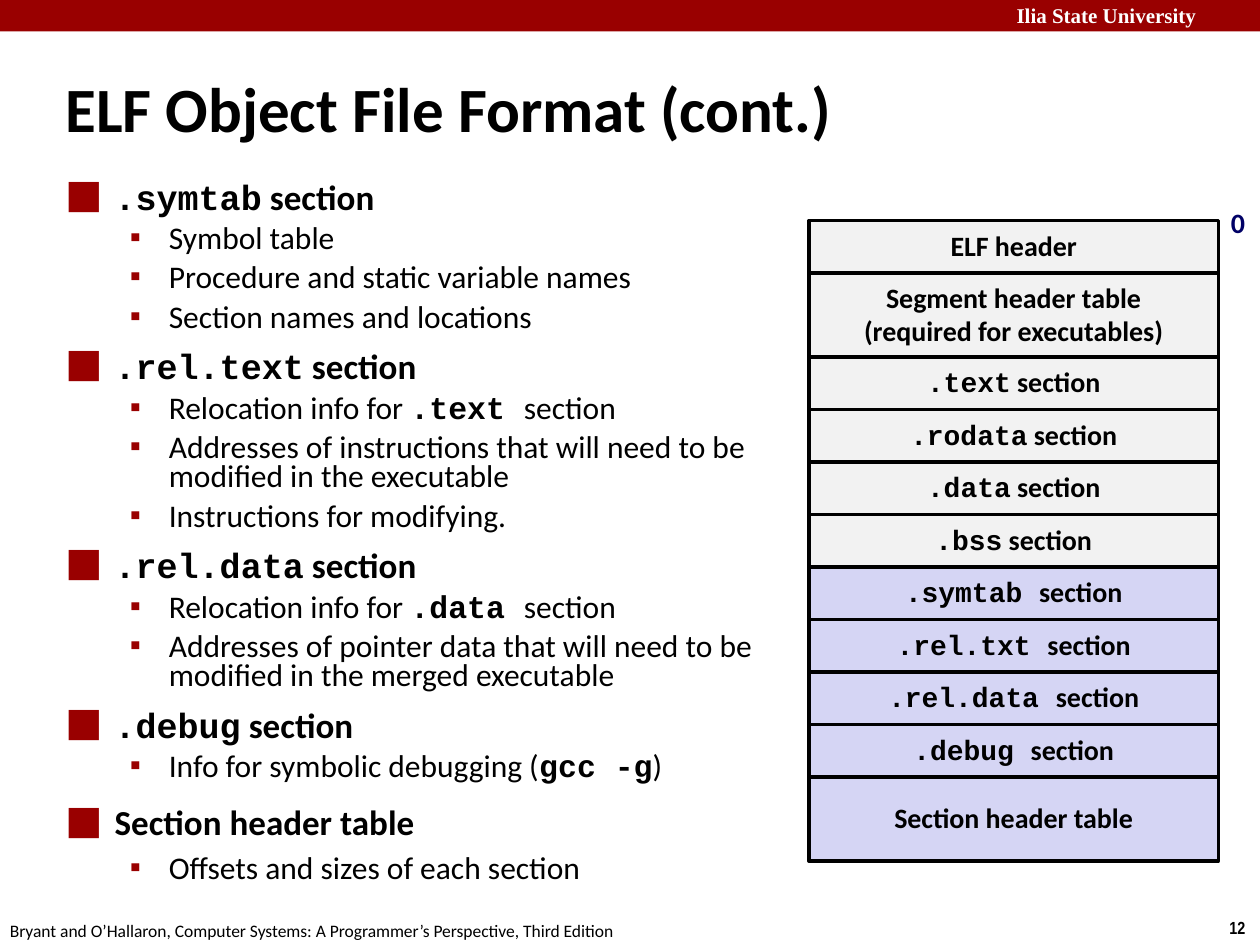
from lxml.etree import SubElement
from pptx import Presentation
from pptx.dml.color import RGBColor
from pptx.enum.shapes import MSO_SHAPE as SHAPE
from pptx.enum.text import MSO_ANCHOR as ANCHOR, MSO_AUTO_SIZE as AUTO, PP_ALIGN as ALIGN
from pptx.oxml.ns import qn
from pptx.util import Inches, Pt

RED = RGBColor(0x99, 0x00, 0x00)
BLACK = RGBColor(0x00, 0x00, 0x00)
WHITE = RGBColor(0xFF, 0xFF, 0xFF)
NAVY = RGBColor(0x00, 0x00, 0x66)
GRAY = RGBColor(0xF2, 0xF2, 0xF2)
LAVENDER = RGBColor(0xD5, 0xD5, 0xF4)

SANS, MONO = "Calibri", "Courier New"

# Backticks mark code. Each entry: level, text, line spacing.
BODY = [
    (0, "`.symtab` section", 0.71),
    (1, "Symbol table", 0.78),
    (1, "Procedure and static variable names", 0.78),
    (1, "Section names and locations", 0.78),
    (0, "`.rel.text` section", 0.71),
    (1, "Relocation info for `.text `section", 0.78),
    (1, "Addresses of instructions that will need to be modified in the executable", 0.78),
    (1, "Instructions for modifying.", 0.78),
    (0, "`.rel.data` section", 0.71),
    (1, "Relocation info for `.data `section", 0.78),
    (1, "Addresses of pointer data that will need to be modified in the merged executable", 0.78),
    (0, "`.debug` section", 0.71),
    (1, "Info for symbolic debugging (`gcc -g`)", 0.78),
    (0, "Section header table", 0.88),
    (1, "Offsets and sizes of each section", 0.88),
]

# Each entry: text, height, fill.
ROW, TALL_ROW = 5 / 12, 2 / 3
FILE_LAYOUT = [
    ("ELF header", ROW, GRAY),
    ("Segment header table\n(required for executables)", TALL_ROW, GRAY),
    ("`.text` section", ROW, GRAY),
    ("`.rodata` section", ROW, GRAY),
    ("`.data` section", ROW, GRAY),
    ("`.bss` section", ROW, GRAY),
    ("`.symtab `section", ROW, LAVENDER),
    ("`.rel.txt `section", ROW, LAVENDER),
    ("`.rel.data `section", ROW, LAVENDER),
    ("`.debug `section", ROW, LAVENDER),
    ("Section header table", TALL_ROW, LAVENDER),
]


def place(sp, left, top, width, height):
    sp.left, sp.top = Inches(left), Inches(top)
    sp.width, sp.height = Inches(width), Inches(height)


def set_indent(p, left, hanging):
    pPr = p._p.get_or_add_pPr()
    pPr.set("marL", str(Inches(left)))
    pPr.set("indent", str(-Inches(hanging)))
    return pPr


def add_bullet(p, char, left, hanging):
    pPr = set_indent(p, left, hanging)
    color = SubElement(pPr, qn("a:buClr"))
    SubElement(color, qn("a:srgbClr")).set("val", str(RED))
    SubElement(pPr, qn("a:buFont")).set("typeface", "Arial")
    SubElement(pPr, qn("a:buChar")).set("char", char)


class SlideBuilder:
    def __init__(self, prs):
        self.slide = prs.slides.add_slide(prs.slide_layouts[1])
        self.shapes = self.slide.shapes

    def add_runs(self, p, text, size, color=BLACK, bold=False, font=SANS):
        """Fill a paragraph, setting backticked parts in bold monospace."""
        for i, part in enumerate(text.split("`")):
            if not part:
                continue
            is_code = i % 2 == 1
            r = p.add_run()
            r.text = part
            r.font.name = MONO if is_code else font
            r.font.size = Pt(size)
            r.font.bold = bold or is_code
            r.font.color.rgb = color

    def bar(self, left, top, width, height, fill):
        sp = self.shapes.add_shape(SHAPE.RECTANGLE, 0, 0, 0, 0)
        place(sp, left, top, width, height)
        sp.shadow.inherit = False
        sp.fill.solid()
        sp.fill.fore_color.rgb = fill
        sp.line.fill.background()
        return sp

    def section_box(self, left, top, width, height, text, fill):
        sp = self.bar(left, top, width, height, fill)
        sp.line.color.rgb = BLACK
        sp.line.width = Pt(2)
        tf = sp.text_frame
        tf.vertical_anchor = ANCHOR.MIDDLE
        for i, line in enumerate(text.split("\n")):
            p = tf.add_paragraph() if i else tf.paragraphs[0]
            p.alignment = ALIGN.CENTER
            p.line_spacing = 0.94 if "`" in line else 0.98
            self.add_runs(p, line, 16, bold=True)

    def label(self, left, top, width, height, text, size, wrap=True, **style):
        sp = self.shapes.add_textbox(0, 0, 0, 0)
        place(sp, left, top, width, height)
        tf = sp.text_frame
        tf.word_wrap = wrap
        self.add_runs(tf.paragraphs[0], text, size, **style)

    def title(self, text):
        sp = self.shapes.title
        place(sp, 0.42, 0.42, 9.53, 0.86)
        tf = sp.text_frame
        tf.auto_size = AUTO.NONE
        tf.vertical_anchor = ANCHOR.MIDDLE
        p = tf.paragraphs[0]
        p.alignment = ALIGN.LEFT
        set_indent(p, 0.13, 0.13)
        self.add_runs(p, text, 36, bold=True)

    def body(self, items):
        sp = self.slide.placeholders[1]
        place(sp, 0.43, 1.43, 5.77, 5.98)
        tf = sp.text_frame
        tf.auto_size = AUTO.NONE
        for i, (level, text, spacing) in enumerate(items):
            p = tf.add_paragraph() if i else tf.paragraphs[0]
            p.level = level
            p.line_spacing = spacing
            if level:
                p.space_before = Pt(5.6)
                add_bullet(p, "▪", 0.81, 0.31)
                self.add_runs(p, text, 18)
            else:
                p.space_before = Pt(12.5 if i else 0)
                add_bullet(p, "⬛", 0.38, 0.38)
                self.add_runs(p, text, 20, bold=True)


def main():
    prs = Presentation()
    prs.slide_width, prs.slide_height = Inches(10), Inches(7.5)
    s = SlideBuilder(prs)

    s.bar(0, 0, 10, 0.25, RED)
    s.label(7.97, -0.03, 2.1, 0.3, "Ilia State University", 12,
            color=WHITE, bold=True, font="Times New Roman")
    s.label(9.66, 7.23, 0.34, 0.27, "12", 10, wrap=False, bold=True, font="Arial Narrow")
    s.label(-0.02, 7.25, 5.08, 0.27,
            "Bryant and O’Hallaron, Computer Systems: A Programmer’s Perspective, Third Edition", 10)

    s.title("ELF Object File Format (cont.)")
    s.body(BODY)

    top = 1.75
    for text, height, fill in FILE_LAYOUT:
        s.section_box(6.42, top, 3.25, height, text, fill)
        top += height
    s.label(9.67, 1.58, 0.31, 0.37, "0", 16, wrap=False, color=NAVY, bold=True)

    prs.save("out.pptx")


if __name__ == "__main__":
    main()
